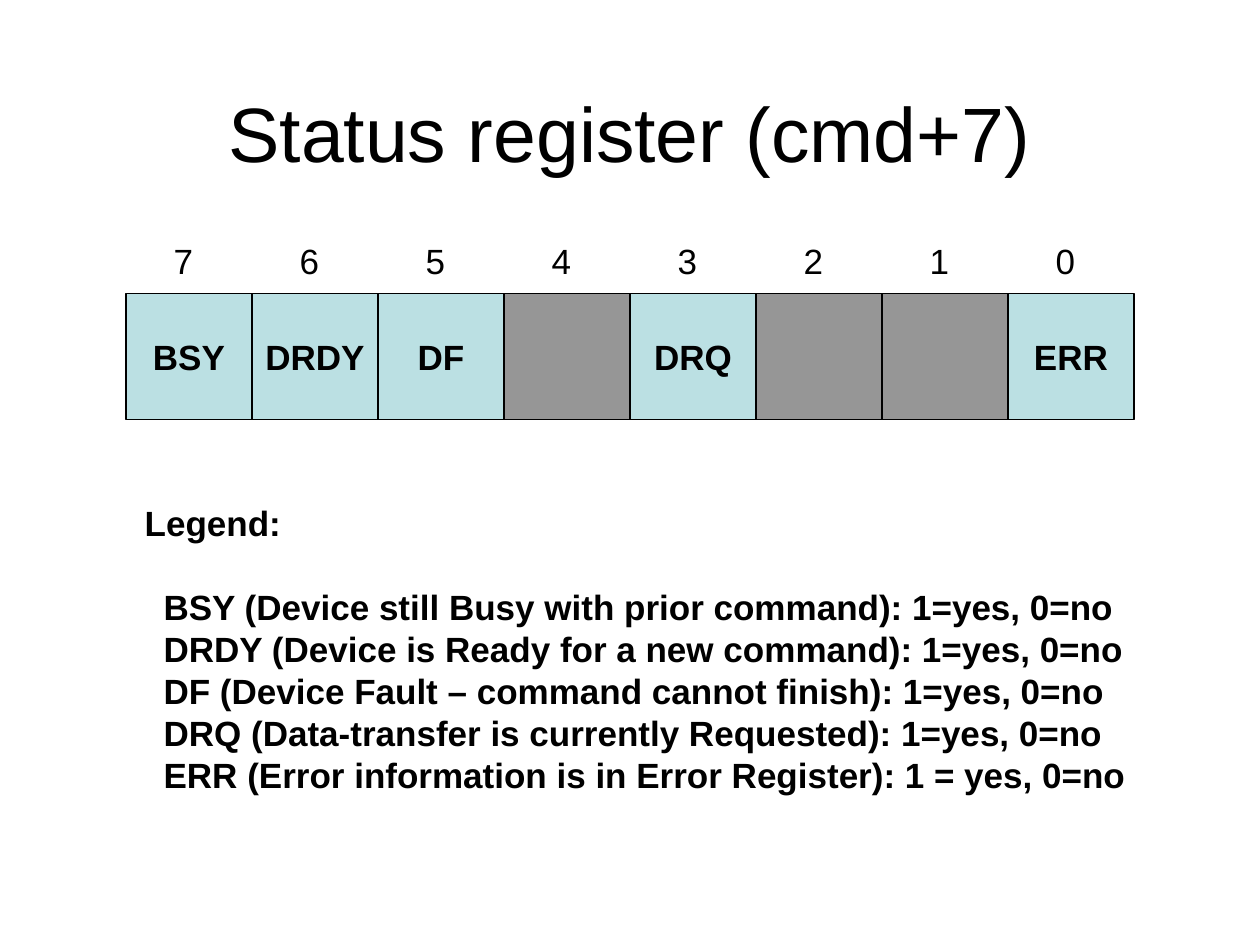
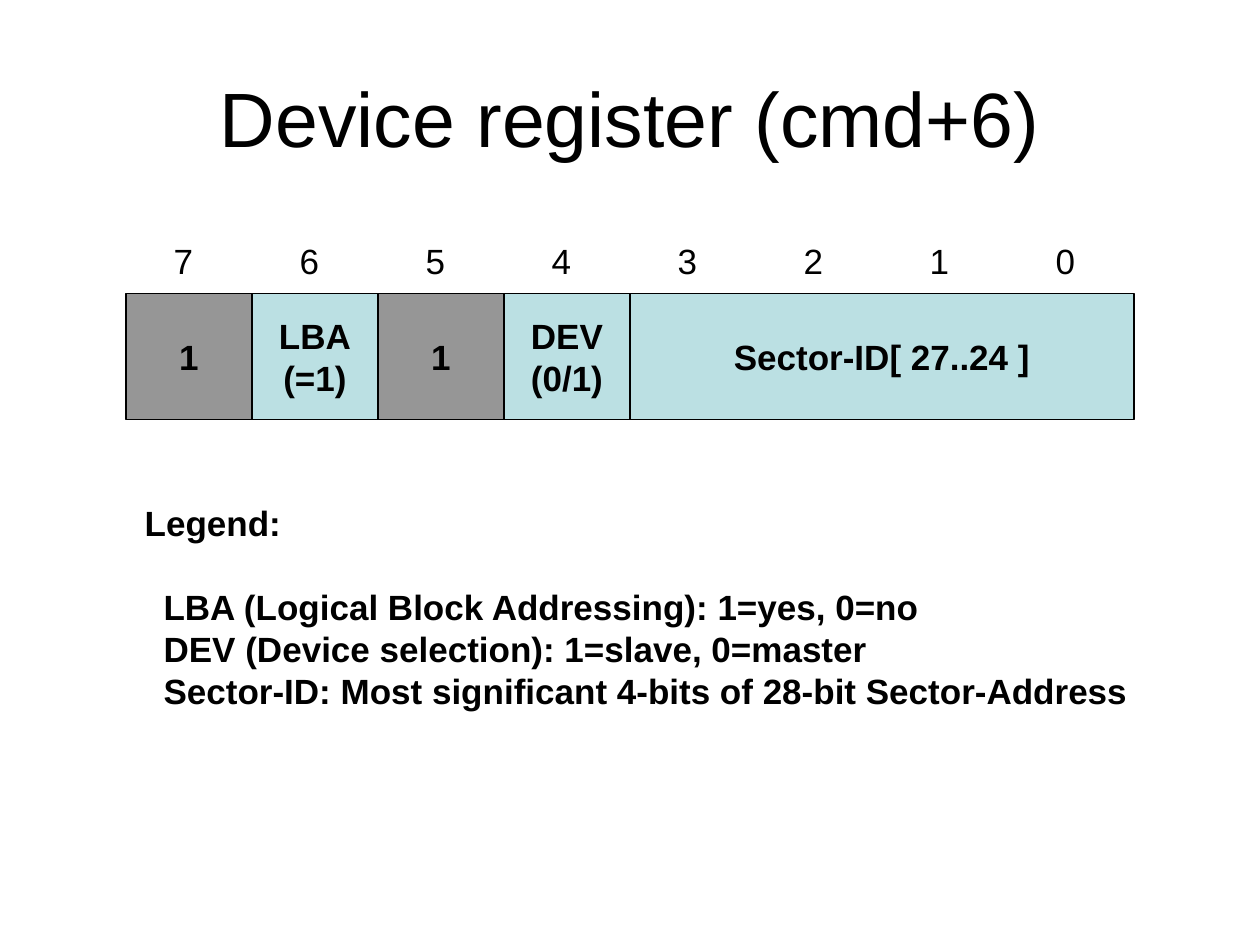
from lxml import etree
from pptx import Presentation
from pptx.dml.color import RGBColor
from pptx.enum.shapes import MSO_SHAPE
from pptx.enum.text import MSO_ANCHOR, PP_ALIGN
from pptx.oxml.ns import qn
from pptx.util import Inches, Pt

RECTANGLE = MSO_SHAPE.RECTANGLE
MIDDLE = MSO_ANCHOR.MIDDLE
CENTER, LEFT = PP_ALIGN.CENTER, PP_ALIGN.LEFT

# Content: each field is (lines of its label, width in bits, in use)
REGISTERS = [
    {
        "title": "Status register (cmd+7)",
        "title_top": 0.42,
        "fields": [
            (["BSY"], 1, True),
            (["DRDY"], 1, True),
            (["DF"], 1, True),
            ([], 1, False),
            (["DRQ"], 1, True),
            ([], 1, False),
            ([], 1, False),
            (["ERR"], 1, True),
        ],
        "legend": [
            "BSY (Device still Busy with prior command): 1=yes, 0=no",
            "DRDY (Device is Ready for a new command): 1=yes, 0=no",
            "DF (Device Fault – command cannot finish): 1=yes, 0=no",
            "DRQ (Data-transfer is currently Requested): 1=yes, 0=no",
            "ERR (Error information is in Error Register): 1 = yes, 0=no",
        ],
    },
    {
        "title": "Device register (cmd+6)",
        "title_top": 0.3,
        "fields": [
            (["1"], 1, False),
            (["LBA", "(=1)"], 1, True),
            (["1"], 1, False),
            (["DEV", "(0/1)"], 1, True),
            (["Sector-ID[ 27..24 ]"], 4, True),
        ],
        "legend": [
            "LBA (Logical Block Addressing): 1=yes, 0=no",
            "DEV (Device selection): 1=slave, 0=master",
            "Sector-ID: Most significant 4-bits of 28-bit Sector-Address",
        ],
    },
]

# Shared style
BLACK = RGBColor(0x00, 0x00, 0x00)
USED = RGBColor(0xBB, 0xE0, 0xE3)
UNUSED = RGBColor(0x96, 0x96, 0x96)
FONT = "Arial"
TITLE_SIZE, TEXT_SIZE, LINE_PITCH = 44, 20, 24

# Shared geometry, in inches
BITS = 8
BIT_SIZE = 1
ROW_LEFT, ROW_TOP = 1, 2.33
LINE_HEIGHT = LINE_PITCH / 72
LEGEND_INDENT = 0.15


def add_span(para, text, size=TEXT_SIZE, bold=False):
    span = para.add_run()
    span.text = text
    span.font.name = FONT
    span.font.size = Pt(size)
    span.font.bold = bold
    span.font.color.rgb = BLACK


def add_lines(frame, lines, align, bold=True):
    """Fill a text frame with one paragraph per line."""
    for number, line in enumerate(lines):
        para = frame.add_paragraph() if number else frame.paragraphs[0]
        para.alignment = align
        para.line_spacing = Pt(LINE_PITCH)
        add_span(para, line, bold=bold)


def add_text_box(page, left, top, width, height):
    box = page.shapes.add_textbox(Inches(left), Inches(top), Inches(width), Inches(height))
    box.text_frame.word_wrap = True
    return box.text_frame


def add_title(page, text, top):
    title = page.shapes.title
    title.left, title.top = Inches(0.5), Inches(top)
    title.width, title.height = Inches(9), Inches(1.25)
    title.text_frame.vertical_anchor = MIDDLE
    para = title.text_frame.paragraphs[0]
    para.alignment = CENTER
    add_span(para, text, TITLE_SIZE)


def add_fields(page, fields):
    left = ROW_LEFT
    for label, bits, in_use in fields:
        width = bits * BIT_SIZE
        cell = page.shapes.add_shape(
            RECTANGLE, Inches(left), Inches(ROW_TOP), Inches(width), Inches(BIT_SIZE))
        cell.shadow.inherit = False
        cell.fill.solid()
        cell.fill.fore_color.rgb = USED if in_use else UNUSED
        cell.line.color.rgb = BLACK
        cell.line.width = Pt(0.75)
        cell.text_frame.word_wrap = False
        cell.text_frame.vertical_anchor = MIDDLE
        add_lines(cell.text_frame, label, CENTER)
        left += width


def add_legend(page, entries):
    height = (len(entries) + 2) * LINE_HEIGHT + 0.1
    frame = add_text_box(page, 1.05, 3.93, 8.1, height)
    add_lines(frame, ["Legend:"] + entries, LEFT)
    heading, *rest = frame.paragraphs
    heading.space_after = Pt(LINE_PITCH)
    for para in rest:
        para._p.get_or_add_pPr().set("marL", str(Inches(LEGEND_INDENT)))


def add_bit_numbers(page):
    frame = add_text_box(page, 1.28, 1.85, 7.39, 0.44)
    numbers = "\t".join(str(bit) for bit in reversed(range(BITS)))
    add_lines(frame, [numbers], LEFT, bold=False)
    # One tab stop per bit keeps each number over its cell
    properties = frame.paragraphs[0]._p.get_or_add_pPr()
    stops = etree.SubElement(properties, qn("a:tabLst"))
    for bit in range(1, BITS):
        etree.SubElement(stops, qn("a:tab"), pos=str(Inches(bit * BIT_SIZE)), algn="l")


def main():
    deck = Presentation()
    deck.slide_width, deck.slide_height = Inches(10), Inches(7.5)
    title_only = deck.slide_layouts[5]
    for register in REGISTERS:
        page = deck.slides.add_slide(title_only)
        add_title(page, register["title"], register["title_top"])
        add_fields(page, register["fields"])
        add_legend(page, register["legend"])
        add_bit_numbers(page)
    deck.save("out.pptx")


if __name__ == "__main__":
    main()
